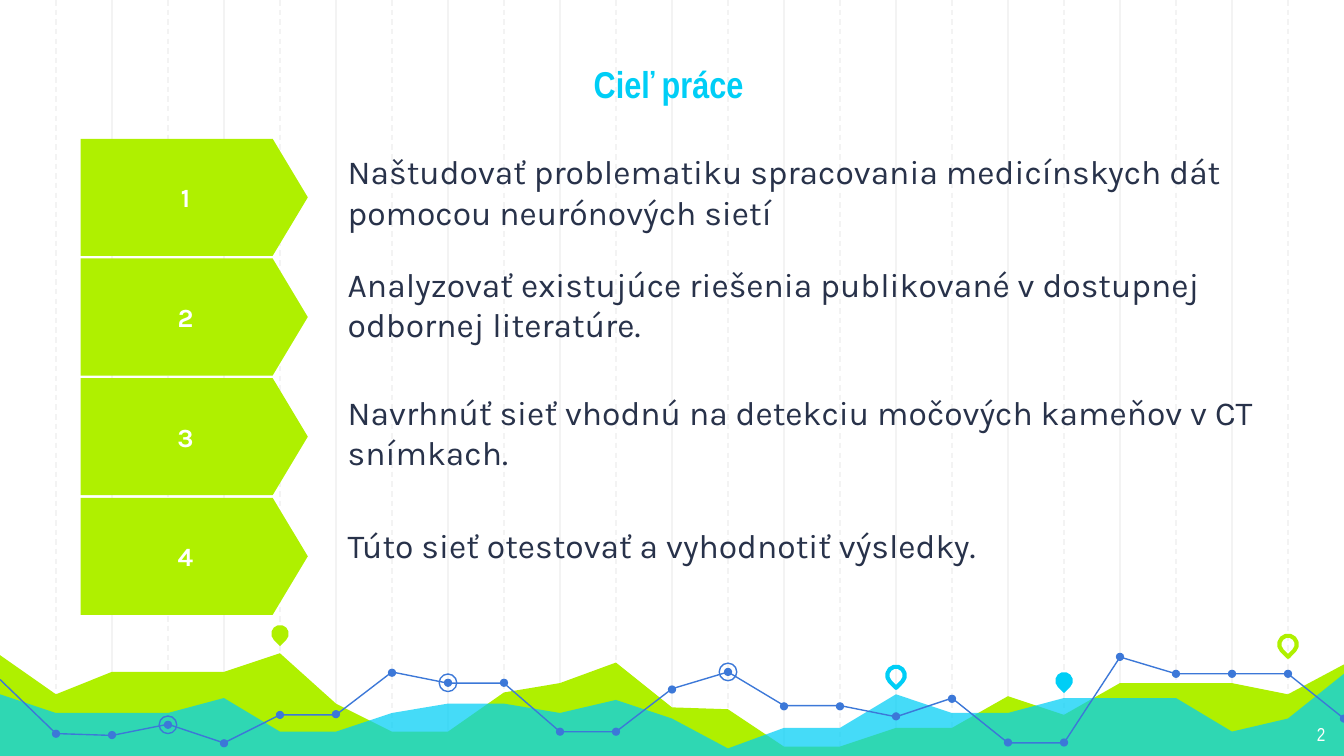
from lxml import etree
from pptx import Presentation
from pptx import util as u
from pptx.dml.color import RGBColor
from pptx.enum import dml, shapes, text
from pptx.oxml import ns

COLORS = {
    "lime": "AFF000",
    "cyan": "00CEF6",
    "blue": "3C78D8",
    "grid": "F3F3F3",
    "ink": "28324A",
    "white": "FFFFFF",
}
WIDTH, HEIGHT = 720, 405
STEP = WIDTH / 24

LIME_HILLS = [20.6, 42.2, 30, 30, 30, 19.9, 46.6, 61.7, 61.7, 40.8, 35.8, 25, 49.4,
              50.2, 69.6, 69.6, 59.5, 59.5, 43, 53, 36.5, 36.1, 35.8, 42.2, 25.7]
CYAN_HILLS = [41.5, 52.3, 52.3, 52.3, 43.7, 62.4, 62.4, 52.3, 46.6, 46.6, 51.6, 45.1, 55.2,
              71, 60.2, 60.2, 42.2, 52.3, 52.3, 43.7, 43.7, 43.7, 61.7, 55.2, 30.7]
TREND = [34.3, 63.1, 63.8, 58.3, 68.2, 53, 52.6, 30.4, 35.8, 35.8, 62, 62, 39.4,
         30, 48.4, 48.4, 53.8, 44.4, 67.8, 67.8, 21.9, 31, 31, 31, 55]
TREND_BREAKS = [0, 11, 20, 24]
RING_COLUMNS = [3, 8, 13]
PINS = [(5, 9.5, "lime", True), (16, 31.8, "cyan", False),
        (19, 34.7, "cyan", True), (23, 15.2, "lime", False)]

GOALS = [
    ("Naštudovať problematiku spracovania medicínskych dát pomocou neurónových sietí", -0.6),
    ("Analyzovať existujúce riešenia publikované v dostupnej odbornej literatúre.", 59.9),
    ("Navrhnúť sieť vhodnú na detekciu močových kameňov v CT snímkach.", 128.3),
    ("Túto sieť otestovať a vyhodnotiť výsledky.", 199.6),
]


def color(name):
    return RGBColor.from_string(COLORS[name])


def paint(shape, fill=None, line=None, width=0.75):
    shape.shadow.inherit = False
    if fill:
        shape.fill.solid()
        shape.fill.fore_color.rgb = color(fill)
    else:
        shape.fill.background()
    if line:
        shape.line.color.rgb = color(line)
        shape.line.width = u.Pt(width)
    else:
        shape.line.fill.background()


def write(shape, content, font, size, ink, bold=False, align=text.PP_ALIGN.LEFT,
          anchor=text.MSO_ANCHOR.TOP, space_before=0):
    frame = shape.text_frame
    frame.text = content
    frame.word_wrap = True
    frame.auto_size = text.MSO_AUTO_SIZE.NONE
    frame.vertical_anchor = anchor
    frame.margin_left = frame.margin_right = u.Pt(7.2)
    frame.margin_top = frame.margin_bottom = u.Pt(7.2)
    paragraph = frame.paragraphs[0]
    paragraph.alignment = align
    paragraph.space_before = u.Pt(space_before)
    style = paragraph.runs[0].font
    style.name, style.size, style.bold = font, u.Pt(size), bold
    style.color.rgb = color(ink)


def add_round(slide, kind, x, y, size):
    return slide.shapes.add_shape(kind, u.Pt(x - size / 2), u.Pt(y - size / 2),
                                  u.Pt(size), u.Pt(size))


def add_outline(slide, points, closed):
    builder = slide.shapes.build_freeform(*points[0], scale=u.Pt(1))
    builder.add_line_segments(points[1:], close=closed)
    return builder.convert_to_shape()


def add_grid(slide, left, top, height):
    for first, dash in ((2, None), (1, dml.MSO_LINE.DASH)):
        for column in range(first, 24, 2):
            x = u.Pt(left + column * STEP)
            line = slide.shapes.add_connector(shapes.MSO_CONNECTOR.STRAIGHT,
                                              x, u.Pt(top), x, u.Pt(top + height))
            line.line.color.rgb = color("grid")
            line.line.width = u.Pt(0.75)
            if dash:
                line.line.dash_style = dash
            etree.SubElement(line.element.spPr, ns.qn("a:effectLst"))


def add_hills(slide, left, top, height, profile, fill, opacity=100):
    points = [(left + column * STEP, top + y) for column, y in enumerate(profile)]
    points += [(left + WIDTH, top + height), (left, top + height)]
    hills = add_outline(slide, points, True)
    paint(hills, fill)
    if opacity < 100:
        tint = hills.element.spPr.find(".//" + ns.qn("a:srgbClr"))
        etree.SubElement(tint, ns.qn("a:alpha"), val=str(opacity * 1000))


def add_trend(slide, left, top):
    points = [(left + column * STEP, top + y) for column, y in enumerate(TREND)]
    for start, end in zip(TREND_BREAKS, TREND_BREAKS[1:]):
        paint(add_outline(slide, points[start:end + 1], False), line="blue")
    for x, y in points[1:]:
        paint(add_round(slide, shapes.MSO_SHAPE.OVAL, x, y, 4.4), "blue")
    for column in RING_COLUMNS:
        paint(add_round(slide, shapes.MSO_SHAPE.OVAL, *points[column], 9.4), line="blue")


def add_landscape(slide, left, top, height):
    add_hills(slide, left, top, height, LIME_HILLS, "lime")
    add_hills(slide, left, top, height, CYAN_HILLS, "cyan", 73)
    add_trend(slide, left, top)
    for column, y, tone, solid in PINS:
        pin = add_round(slide, shapes.MSO_SHAPE.TEAR, left + column * STEP, top + y, 9.4)
        pin.rotation = 135
        if solid:
            paint(pin, tone)
        else:
            paint(pin, line=tone, width=2.25)


def add_title(slide, left, top, width, height):
    title = slide.shapes.title
    title.left, title.top = u.Pt(left), u.Pt(top)
    title.width, title.height = u.Pt(width), u.Pt(height)
    write(title, "Cieľ práce", "Arial Narrow", 20, "cyan", True,
          text.PP_ALIGN.CENTER, text.MSO_ANCHOR.BOTTOM)
    title.element.getparent().append(title.element)


def add_page_number(slide, left, top, width, height):
    box = slide.shapes.add_textbox(u.Pt(left), u.Pt(top), u.Pt(width), u.Pt(height))
    write(box, "2", "Arial Narrow", 10, "white", align=text.PP_ALIGN.RIGHT)


def add_goals(slide, left, top, width, height):
    gap = 1.4
    row_height = (height - gap * (len(GOALS) - 1)) / len(GOALS)
    text_left = 136
    for index, (goal, offset) in enumerate(GOALS):
        arrow = slide.shapes.add_shape(
            shapes.MSO_SHAPE.PENTAGON, u.Pt(left), u.Pt(top + index * (row_height + gap)),
            u.Pt(121.7), u.Pt(row_height))
        arrow.adjustments[0] = 0.3
        paint(arrow, "lime")
        write(arrow, str(index + 1), "Karla", 14, "white", True,
              text.PP_ALIGN.CENTER, text.MSO_ANCHOR.MIDDLE)
        box = slide.shapes.add_textbox(u.Pt(left + text_left), u.Pt(top + offset),
                                       u.Pt(width - text_left), u.Pt(80))
        write(box, goal, "Karla", 18, "ink", space_before=6)


def main():
    presentation = Presentation()
    presentation.slide_width, presentation.slide_height = u.Pt(WIDTH), u.Pt(HEIGHT)
    slide = presentation.slides.add_slide(presentation.slide_layouts[5])
    add_grid(slide, 0, 0, HEIGHT)
    add_landscape(slide, 0, 330, 76)
    add_title(slide, 82.8, 7.9, 550.8, 56.2)
    add_page_number(slide, 673.9, 380.2, 43.2, 25.2)
    add_goals(slide, 43.2, 74.4, 638.6, 255)
    presentation.save("out.pptx")


if __name__ == "__main__":
    main()
